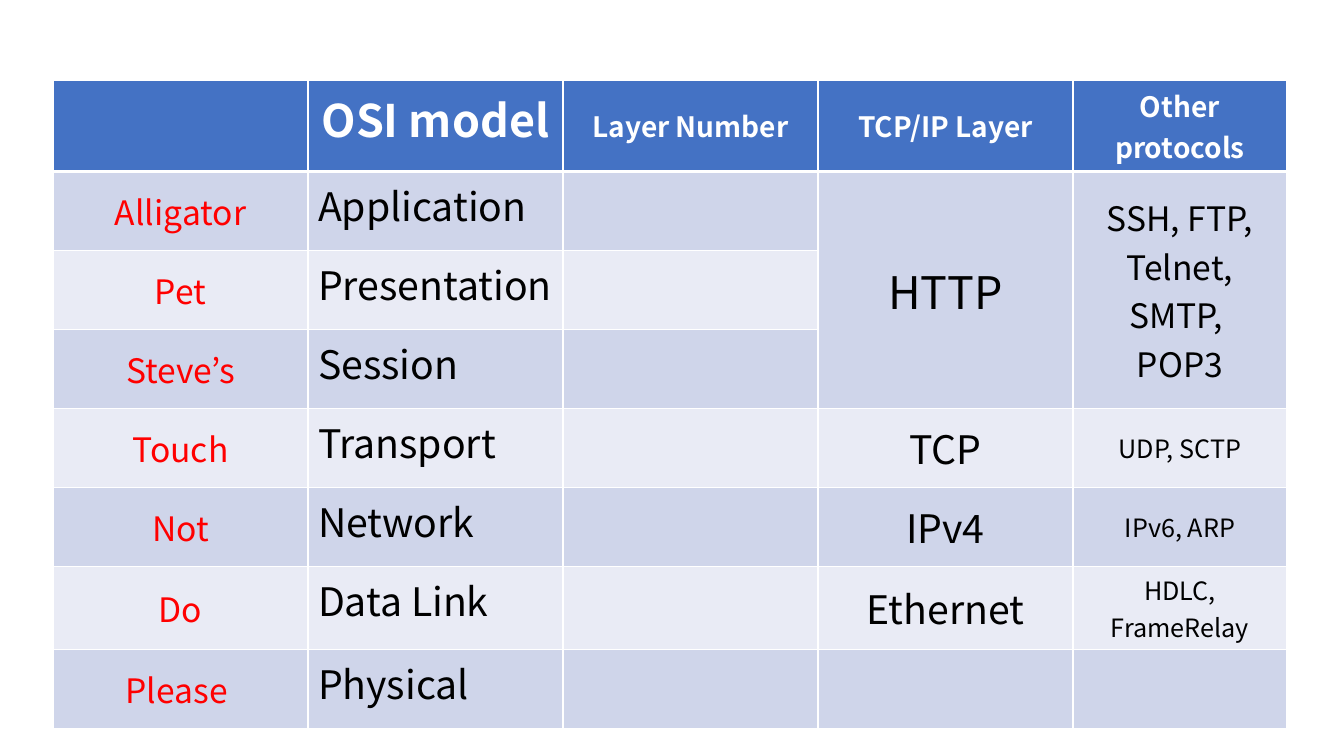
import pptx
import pptx.util
import pptx.dml.color
import pptx.enum.text
import pptx.oxml
import pptx.oxml.ns
from dataclasses import dataclass

EMU_PER_PIXEL = 914400 / 100.8
CENTER = pptx.enum.text.PP_ALIGN.CENTER
LEFT = pptx.enum.text.PP_ALIGN.LEFT
MIDDLE = pptx.enum.text.MSO_ANCHOR.MIDDLE
TOP = pptx.enum.text.MSO_ANCHOR.TOP


@dataclass(frozen=True)
class Theme:
    font: str = "Noto Sans CJK KR"
    header: str = "4472C4"
    bands: tuple = ("CFD5EA", "E9EBF5")
    white: str = "FFFFFF"
    black: str = "000000"
    mnemonic: str = "FF0000"
    huge: int = 32
    large: int = 28
    medium: int = 24
    heading: int = 20
    small: int = 18
    thin: int = 1
    thick: int = 3


def pixels(length):
    return pptx.util.Emu(round(length * EMU_PER_PIXEL))


def rgb(color):
    return pptx.dml.color.RGBColor.from_string(color)


class SlideBuilder:
    def __init__(self, slide, theme):
        self.slide = slide
        self.theme = theme

    def table(self, left, top, widths, row_height, row_count):
        frame = self.slide.shapes.add_table(
            row_count, len(widths), pixels(left), pixels(top),
            pixels(sum(widths)), pixels(row_height * row_count))
        table = frame.table
        for column, width in zip(table.columns, widths):
            column.width = pixels(width)
        for row in table.rows:
            row.height = pixels(row_height)
        return table

    def borders(self, cell, widths):
        properties = cell._tc.get_or_add_tcPr()
        for side, width in widths.items():
            properties.append(pptx.oxml.parse_xml(
                f'<a:ln{side} {pptx.oxml.ns.nsdecls("a")} w="{pptx.util.Pt(width)}">'
                f'<a:solidFill><a:srgbClr val="{self.theme.white}"/></a:solidFill>'
                f'</a:ln{side}>'))

    def fill(self, cell, color):
        cell.fill.solid()
        cell.fill.fore_color.rgb = rgb(color)

    def text(self, cell, text, size, color, bold=False, align=CENTER, anchor=MIDDLE):
        cell.vertical_anchor = anchor
        cell.text_frame.text = text
        font_format = {"name": self.theme.font, "size": pptx.util.Pt(size), "bold": bold}
        for paragraph in cell.text_frame.paragraphs:
            paragraph.alignment = align
            for run in paragraph.runs:
                for name, value in font_format.items():
                    setattr(run.font, name, value)
                run.font.color.rgb = rgb(color)


theme = Theme()
presentation = pptx.Presentation()
presentation.slide_width = pixels(1344)
presentation.slide_height = pixels(756)
builder = SlideBuilder(presentation.slides.add_slide(presentation.slide_layouts[6]), theme)

layers = [
    ("Alligator", "Application"),
    ("Pet", "Presentation"),
    ("Steve’s", "Session"),
    ("Touch", "Transport"),
    ("Not", "Network"),
    ("Do", "Data Link"),
    ("Please ", "Physical"),
]
headings = ["Layer Number", "TCP/IP Layer", "Other protocols"]
# Row: TCP/IP protocol, its size, other protocols, their size
protocols = {
    1: ("HTTP", theme.huge, "SSH, FTP, Telnet,\nSMTP, \nPOP3", theme.medium),
    4: ("TCP", theme.large, "UDP, SCTP", theme.small),
    5: ("IPv4", theme.large, "IPv6, ARP", theme.small),
    6: ("Ethernet", theme.large, "HDLC, FrameRelay", theme.small),
}

# Grid with banded rows
table = builder.table(53, 80, [255] * 4 + [214], 79, len(layers) + 1)
for row_index, row in enumerate(table.rows):
    for cell in row.cells:
        builder.borders(cell, {
            "L": theme.thin, "R": theme.thin,
            "T": theme.thick if row_index == 1 else theme.thin,
            "B": theme.thick if row_index == 0 else theme.thin})
        builder.fill(cell, theme.bands[(row_index - 1) % 2] if row_index else theme.header)

# Header row
builder.text(table.cell(0, 1), "OSI model", theme.huge, theme.white, bold=True, anchor=TOP)
for column_index, heading in enumerate(headings, start=2):
    builder.text(table.cell(0, column_index), heading, theme.heading, theme.white, bold=True)

# Mnemonic and layer names
for row_index, (word, layer) in enumerate(layers, start=1):
    builder.text(table.cell(row_index, 0), word, theme.medium, theme.mnemonic)
    builder.text(table.cell(row_index, 1), layer, theme.large, theme.black,
                 align=LEFT, anchor=TOP)

# Protocols, with the top three layers merged
for column_index in (3, 4):
    table.cell(1, column_index).merge(table.cell(3, column_index))
for row_index, (protocol, size, others, others_size) in protocols.items():
    builder.text(table.cell(row_index, 3), protocol, size, theme.black)
    builder.text(table.cell(row_index, 4), others, others_size, theme.black)

presentation.save("out.pptx")
